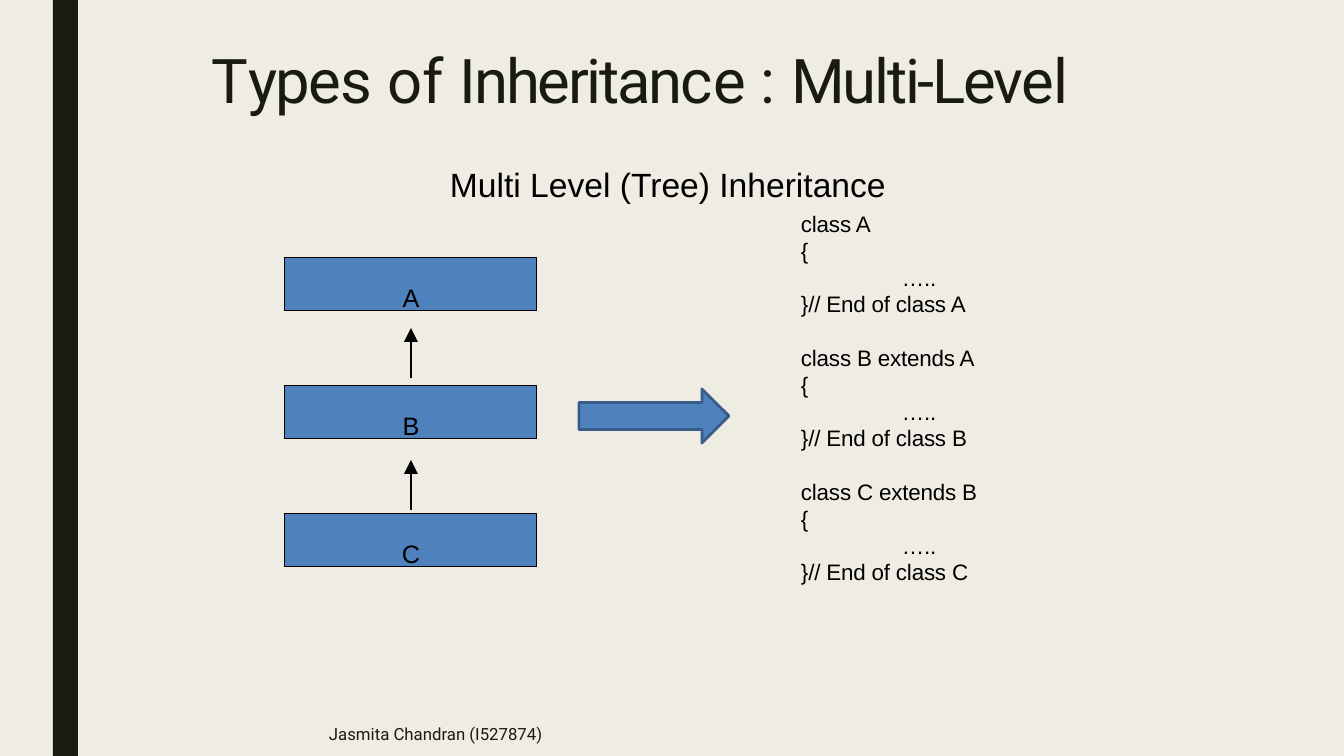
"""Build the slide on multi-level inheritance: class chain, arrow and matching code."""
from dataclasses import dataclass

from lxml.etree import SubElement
from pptx import Presentation
from pptx.dml.color import RGBColor
from pptx.enum.shapes import MSO_CONNECTOR as Connector, MSO_SHAPE as Shape
from pptx.enum.text import MSO_ANCHOR as Anchor, MSO_AUTO_SIZE as AutoSize, PP_ALIGN as Align
from pptx.oxml.ns import qn
from pptx.util import Pt


@dataclass(frozen=True)
class Theme:
    """Colours, fonts and type sizes of the slide."""
    paper: RGBColor = RGBColor.from_string("EFEDE3")
    ink: RGBColor = RGBColor.from_string("191B0E")
    black: RGBColor = RGBColor.from_string("000000")
    blue: RGBColor = RGBColor.from_string("4F81BC")
    navy: RGBColor = RGBColor.from_string("385D89")
    heading_font: str = "Roboto"
    body_font: str = "Arial"
    title: int = 44
    subtitle: int = 24
    label: int = 18
    code: int = 16
    footer: int = 12


theme = Theme()


def px(*lengths):
    """Turn pixel lengths into EMU, at 100.8 pixels to the inch."""
    return [round(length * 914400 / 100.8) for length in lengths]


def write(shape, lines, size, font=theme.body_font, color=theme.black, align=Align.LEFT,
          anchor=Anchor.TOP, insets=(0, 0, 0, 0), line_height=None):
    """Fill a shape with lines of (text, letter spacing) runs; a tab starts an indented line."""
    frame = shape.text_frame
    frame.word_wrap = True
    frame.auto_size = AutoSize.NONE
    frame.vertical_anchor = anchor
    frame.margin_left, frame.margin_top, frame.margin_right, frame.margin_bottom = px(*insets)
    for index, runs in enumerate(lines):
        paragraph = frame.add_paragraph() if index else frame.paragraphs[0]
        paragraph.alignment = align
        if line_height:
            paragraph.line_spacing = Pt(line_height)
        if runs[0][0].startswith("\t"):
            paragraph._p.get_or_add_pPr().set("marL", str(px(101)[0]))
        for text, spacing in runs:
            run = paragraph.add_run()
            run.text = text.lstrip("\t")
            run.font.size = Pt(size)
            run.font.name = font
            run.font.color.rgb = color
            if spacing:
                run._r.get_or_add_rPr().set("spc", str(round(spacing * 100)))


presentation = Presentation()
presentation.slide_width, presentation.slide_height = px(1344, 756)
slide = presentation.slides.add_slide(presentation.slide_layouts[5])
slide.background.fill.solid()
slide.background.fill.fore_color.rgb = theme.paper
shapes = slide.shapes

side_bar = shapes.add_shape(Shape.RECTANGLE, *px(53, 0, 25, 756))
side_bar.shadow.inherit = False
side_bar.fill.solid()
side_bar.fill.fore_color.rgb = theme.ink
side_bar.line.fill.background()

title = shapes.title
title.left, title.top, title.width, title.height = px(211, 41, 909, 76)
title_runs = [("T", -4.2), ("ype", -1.6), ("s ", -0.1), ("o", -1.6), ("f ", 0),
              ("Inheritanc", -1.6), ("e ", -0.1), (": ", 0), ("Multi-Leve", -1.6), ("l", 0)]
write(title, [title_runs], theme.title, font=theme.heading_font, color=theme.ink,
      insets=(1, 1, 0, 0))

subtitle = shapes.add_textbox(*px(449, 153, 438, 52))
write(subtitle, [[("Multi Level (Tree) Inheritance", 0)]], theme.subtitle, insets=(1, 11, 0, 0))

code_arrow = shapes.add_shape(Shape.RIGHT_ARROW, *px(579, 389, 150, 54))
code_arrow.shadow.inherit = False
code_arrow.fill.solid()
code_arrow.fill.fore_color.rgb = theme.blue
code_arrow.line.color.rgb = theme.navy
code_arrow.line.width = Pt(2.04)

declarations = {"A": "class A", "B": "class B extends A", "C": "class C extends B"}
for row, (name, declaration) in enumerate(declarations.items()):
    class_box = shapes.add_shape(Shape.RECTANGLE, *px(285, 258 + 128 * row, 252, 53))
    class_box.shadow.inherit = False
    class_box.fill.solid()
    class_box.fill.fore_color.rgb = theme.blue
    class_box.line.color.rgb = theme.black
    class_box.line.width = Pt(0.72)
    write(class_box, [[(name, 0)]], theme.label, align=Align.CENTER, insets=(0, 24, 0, 0))

    code_box = shapes.add_textbox(*px(800, 209 + 134 * row, 190, 110))
    code_lines = [declaration, "{", "\t…..", f"}}// End of class {name}"]
    write(code_box, [[(line, -0.1)] for line in code_lines], theme.code,
          insets=(1, 1, 0, 0), line_height=19.2)

for row in range(2):
    bottom = 378 + 132 * row
    parent_arrow = shapes.add_connector(Connector.STRAIGHT, *px(411, bottom, 411, bottom - 50))
    parent_arrow.line.color.rgb = theme.black
    parent_arrow.line.width = Pt(1.25)
    SubElement(parent_arrow.line._get_or_add_ln(), qn("a:tailEnd"),
               type="triangle", w="lg", len="lg")
    SubElement(parent_arrow._element.spPr, qn("a:effectLst"))

footer = shapes.add_textbox(*px(319, 712, 692, 44))
write(footer, [[("Jasmita Chandran (I527874)", 0)]], theme.footer, font=theme.heading_font,
      color=theme.ink, anchor=Anchor.MIDDLE, insets=(10, 5, 10, 5))

presentation.save("out.pptx")
